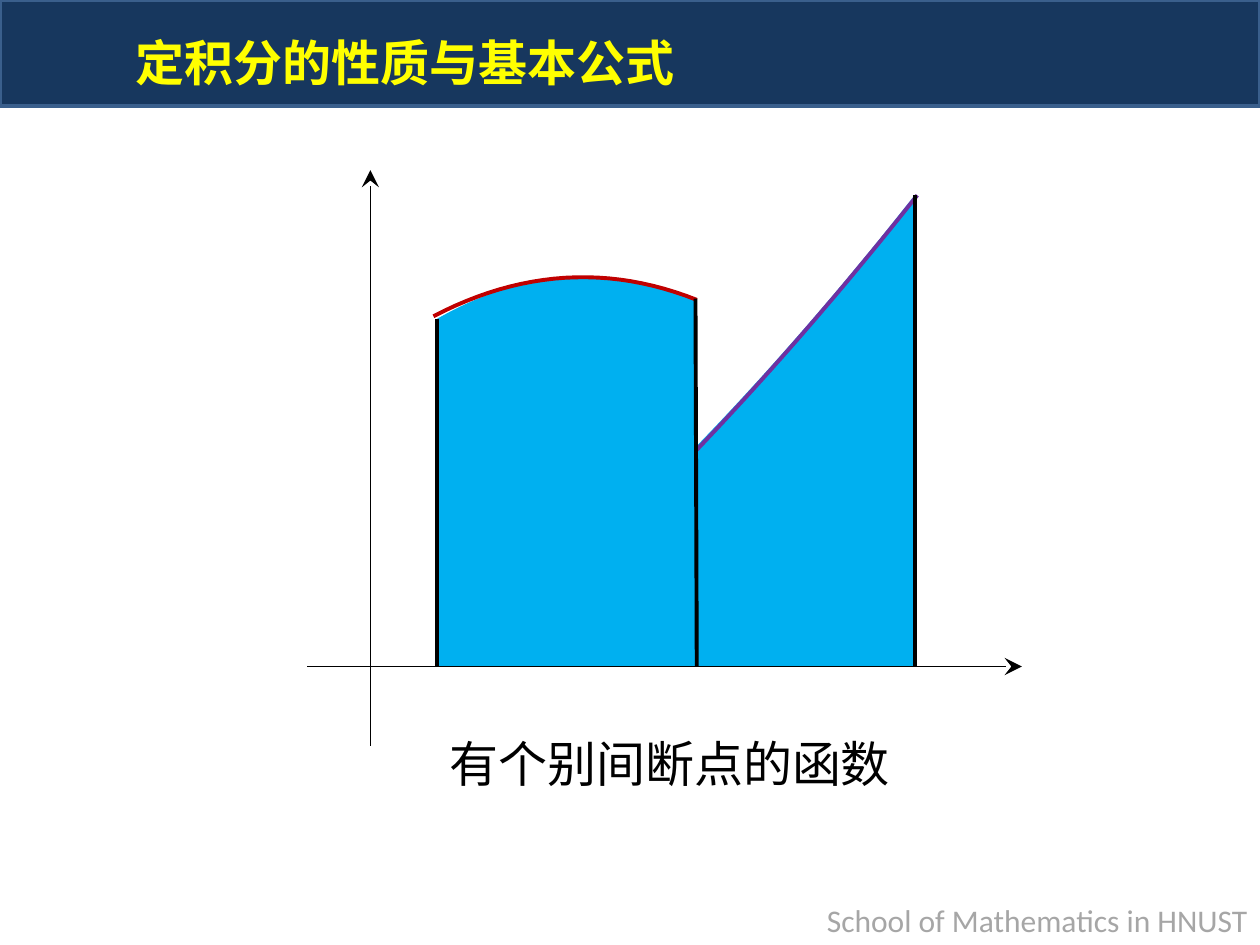
from dataclasses import dataclass

from lxml import etree
from pptx import Presentation
from pptx.dml.color import RGBColor
from pptx.enum.shapes import MSO_CONNECTOR as Connector, MSO_SHAPE as Shape
from pptx.enum.text import MSO_AUTO_SIZE as AutoSize, PP_ALIGN as Align
from pptx.oxml.ns import qn
from pptx.util import Inches, Pt


@dataclass(frozen=True)
class Theme:
    navy: str = "17375E"
    navy_edge: str = "3A5F8C"
    yellow: str = "FFFF00"
    grey: str = "A6A6A6"
    black: str = "000000"
    area: str = "00B0F0"
    red: str = "C00000"
    purple: str = "7030A0"
    latin: str = "Calibri"
    chinese: str = "Noto Sans CJK SC"
    heading: int = 28
    footer: int = 18
    axis: float = 1
    stroke: float = 2.25


def parabola(first, middle, last, steps=24):
    """Points on the parabola through three given points."""
    (x0, y0), (x1, y1), (x2, y2) = first, middle, last
    slope = (y1 - y0) / (x1 - x0)
    bend = ((y2 - y1) / (x2 - x1) - slope) / (x2 - x0)
    xs = [x0 + (x2 - x0) * step / steps for step in range(steps + 1)]
    return [(x, y0 + slope * (x - x0) + bend * (x - x0) * (x - x1)) for x in xs]


class Painter:
    def __init__(self, page, theme):
        self.page = page
        self.theme = theme
        self.shapes = page.shapes

    def start_group(self):
        self.shapes = self.page.shapes.add_group_shape().shapes

    def end_group(self):
        self.shapes = self.page.shapes

    def stroke(self, line, color, width):
        line.color.rgb = RGBColor.from_string(color)
        line.width = Pt(width)

    def fill(self, shape, color):
        shape.fill.solid()
        shape.fill.fore_color.rgb = RGBColor.from_string(color)

    def text(self, words, at, size, color, font, bold=False, wrap=True, align=Align.LEFT):
        box = self.shapes.add_textbox(*map(Inches, at))
        frame = box.text_frame
        frame.word_wrap = wrap
        frame.auto_size = AutoSize.SHAPE_TO_FIT_TEXT
        para = frame.paragraphs[0]
        para.alignment = align
        span = para.add_run()
        span.text = words
        span.font.name = font
        span.font.size = Pt(size)
        span.font.bold = bold
        span.font.color.rgb = RGBColor.from_string(color)
        etree.SubElement(span.font._element, qn("a:ea"), typeface=font)

    def band(self, at, color, edge, width):
        band = self.shapes.add_shape(Shape.RECTANGLE, *map(Inches, at))
        band.shadow.inherit = False
        self.fill(band, color)
        self.stroke(band.line, edge, width)

    def outline(self, points, closed):
        corners = [(Inches(x), Inches(y)) for x, y in points]
        builder = self.shapes.build_freeform(*corners[0])
        builder.add_line_segments(corners[1:], close=closed)
        shape = builder.convert_to_shape()
        shape.shadow.inherit = False
        return shape

    def area(self, top, base):
        """Fill between a curve and the horizontal axis."""
        left, right = top[0][0], top[-1][0]
        shape = self.outline(top + [(right, base), (left, base)], closed=True)
        self.fill(shape, self.theme.area)
        shape.line.fill.background()

    def curve(self, points, color):
        shape = self.outline(points, closed=False)
        shape.fill.background()
        self.stroke(shape.line, color, self.theme.stroke)

    def line(self, start, end, width, arrow=False):
        link = self.shapes.add_connector(
            Connector.STRAIGHT, *map(Inches, (*start, *end)))
        self.stroke(link.line, self.theme.black, width)
        properties = link._element.spPr
        if arrow:
            etree.SubElement(properties.find(qn("a:ln")), qn("a:tailEnd"),
                             type="stealth", w="lg", len="lg")
        etree.SubElement(properties, qn("a:effectLst"))


def main():
    deck = Presentation()
    deck.slide_width, deck.slide_height = Inches(10), Inches(7.5)
    theme = Theme()
    painter = Painter(deck.slides.add_slide(deck.slide_layouts[6]), theme)

    # Footer and header
    painter.text("School of Mathematics in HNUST", (4.57, 7.1, 5.43, 0.4),
                 theme.footer, theme.grey, theme.latin, align=Align.RIGHT)
    painter.band((0, 0, 10, 0.84), theme.navy, theme.navy_edge, 2)
    painter.text("定积分的性质与基本公式", (0.98, 0.21, 4.52, 0.57),
                 theme.heading, theme.yellow, theme.chinese, bold=True, wrap=False)

    # Areas under the two branches, each with its curve
    base = 5.29
    painter.start_group()
    painter.area(parabola((3.47, 2.53), (4.5, 2.2), (5.53, 2.39)), base)
    painter.curve(parabola((3.44, 2.51), (4.62, 2.2), (5.53, 2.38)), theme.red)
    painter.area(parabola((5.53, 3.54), (6.4, 2.59), (7.26, 1.55)), base)
    painter.curve(parabola((5.53, 3.57), (6.42, 2.59), (7.28, 1.55)), theme.purple)

    # Axes
    painter.line((2.44, base), (8.11, base), theme.axis, arrow=True)
    painter.line((2.94, 5.92), (2.94, 1.35), theme.axis, arrow=True)

    # Interval bounds and the point of discontinuity
    for top, foot in (((3.47, 2.53), 3.47), ((5.52, 2.37), 5.53), ((7.26, 1.55), 7.26)):
        painter.line(top, (foot, base), theme.stroke)
    painter.end_group()

    # Caption
    painter.text("有个别间断点的函数", (3.47, 5.77, 4.17, 0.57),
                 theme.heading, theme.black, theme.chinese)

    deck.save("out.pptx")


if __name__ == "__main__":
    main()
